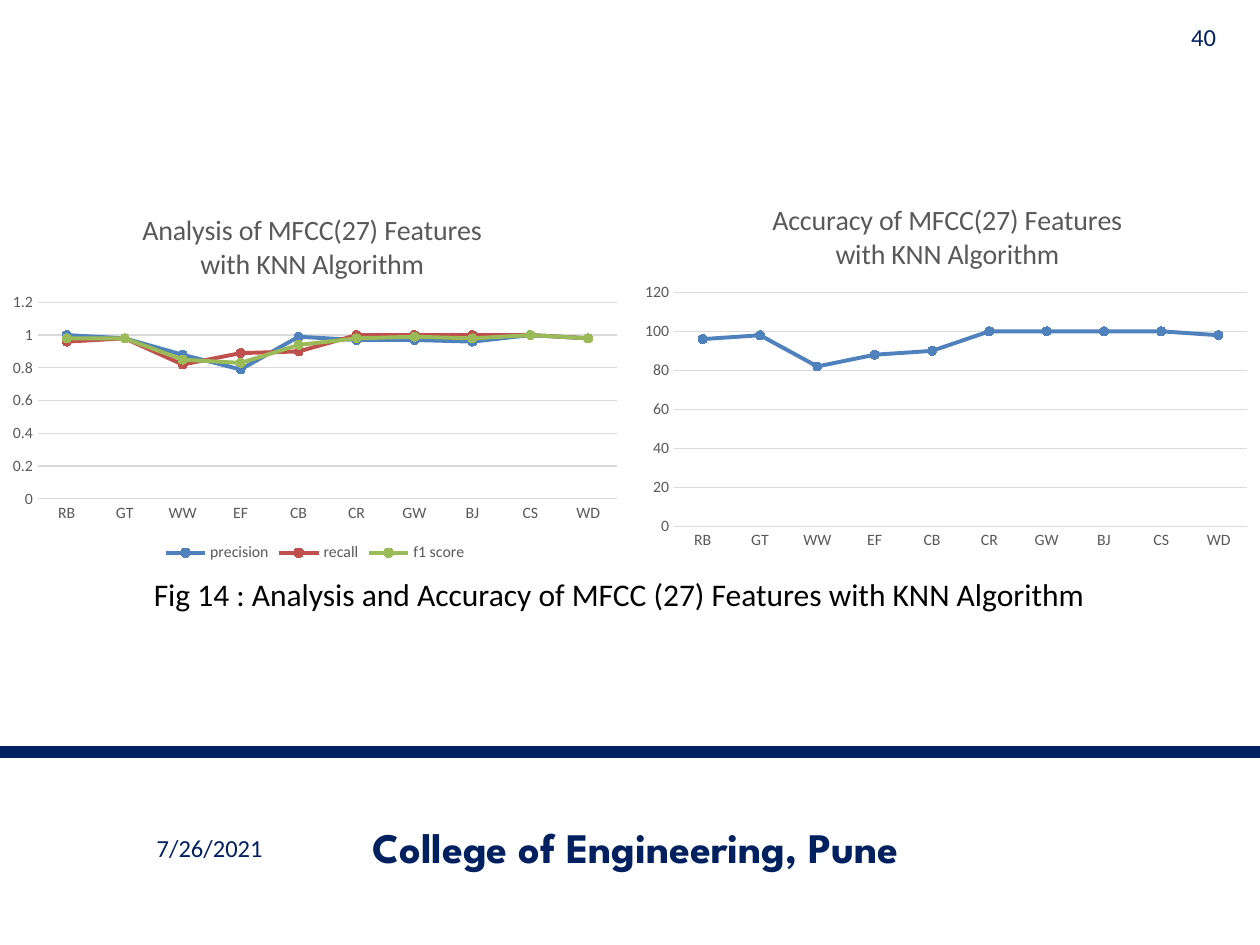
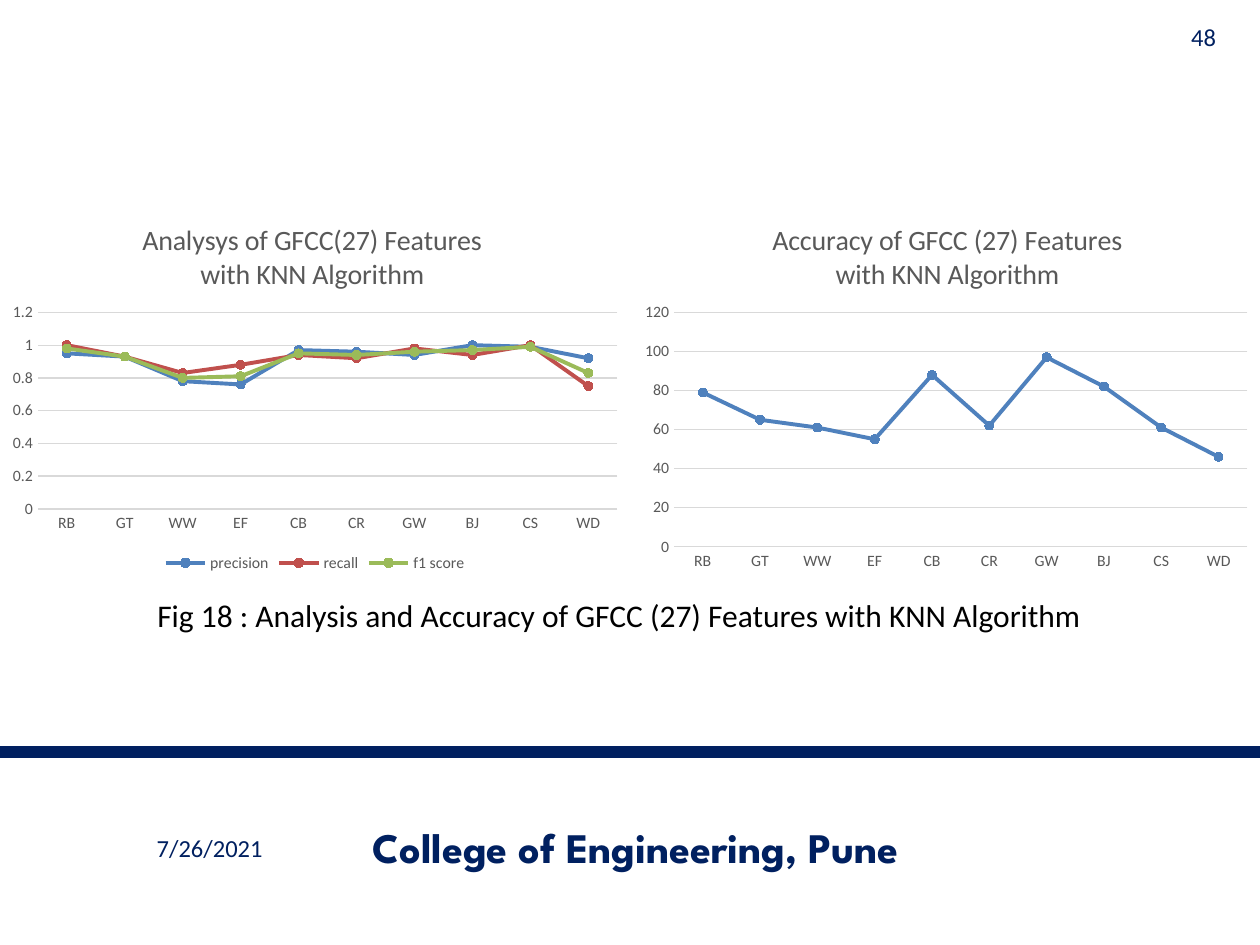
from dataclasses import dataclass

from lxml import etree
from pptx import Presentation
from pptx import util as u
from pptx.chart import data as cd
from pptx.dml.color import RGBColor
from pptx.enum import chart as ch
from pptx.enum import shapes, text
from pptx.oxml import ns


@dataclass(frozen=True)
class Theme:
    navy: str = "002060"
    black: str = "000000"
    gray: str = "595959"
    rule: str = "D9D9D9"
    lines: tuple = ("4F81BD", "C0504D", "9BBB59")
    body: str = "Calibri"
    brand: str = "League Spartan"
    tick: float = 9
    small: float = 14
    head: float = 16
    fig: float = 18
    big: float = 24
    band: float = 6.5
    thin: float = 0.75
    thick: float = 2.25


T = Theme()
COLS, ROWS = 40, 30
WIDE, HIGH = u.Inches(10), u.Inches(7.5)
CATS = ("RB", "GT", "WW", "EF", "CB", "CR", "GW", "BJ", "CS", "WD")
NAMES = ("precision", "recall", "f1 score")

FIGS = (
    dict(
        page="40",
        tops=(6, 5.68),
        foot=18.04,
        heads=("Analysis of MFCC(27) Features\nwith KNN Algorithm",
               "Accuracy of MFCC(27) Features\nwith KNN Algorithm"),
        fig="Fig 14 : Analysis and Accuracy of MFCC (27) Features with KNN Algorithm",
        rates=((1, 0.98, 0.88, 0.79, 0.99, 0.97, 0.97, 0.96, 1, 0.98),
               (0.96, 0.98, 0.82, 0.89, 0.9, 1, 1, 1, 1, 0.98),
               (0.98, 0.98, 0.85, 0.83, 0.94, 0.98, 0.99, 0.98, 1, 0.98)),
        score=(96, 98, 82, 88, 90, 100, 100, 100, 100, 98),
    ),
    dict(
        page="48",
        tops=(6.32, 6.32),
        foot=18.72,
        heads=("Analysys of GFCC(27) Features\nwith KNN Algorithm",
               "Accuracy of GFCC (27) Features\nwith KNN Algorithm"),
        fig="Fig 18 : Analysis and Accuracy of GFCC (27) Features with KNN Algorithm",
        rates=((0.95, 0.93, 0.78, 0.76, 0.97, 0.96, 0.94, 1, 0.99, 0.92),
               (1, 0.93, 0.83, 0.88, 0.94, 0.92, 0.98, 0.94, 1, 0.75),
               (0.98, 0.93, 0.8, 0.81, 0.95, 0.94, 0.96, 0.97, 0.99, 0.83)),
        score=(79, 65, 61, 55, 88, 62, 97, 82, 61, 46),
    ),
)


def grid(col, row, cols, rows):
    return (int(WIDE * col / COLS), int(HIGH * row / ROWS),
            int(WIDE * cols / COLS), int(HIGH * rows / ROWS))


def style(font, size, color, face=T.body, bold=False):
    font.size = u.Pt(size)
    font.name = face
    font.bold = bold
    font.color.rgb = RGBColor.from_string(color)


def write(frame, words, size=T.small, color=T.navy, face=T.body,
          bold=False, align=text.PP_ALIGN.CENTER):
    frame.text = words
    for par in frame.paragraphs:
        par.alignment = align
        for run in par.runs:
            style(run.font, size, color, face, bold)


def label(slide, area, words, **look):
    frame = slide.shapes.add_textbox(*area).text_frame
    frame.word_wrap = True
    frame.vertical_anchor = text.MSO_ANCHOR.MIDDLE
    write(frame, words, **look)


def stroke(line, color, width):
    line.color.rgb = RGBColor.from_string(color)
    line.width = u.Pt(width)


def band(slide):
    left, top, wide, _ = grid(0, 23.88, COLS, 0)
    bar = slide.shapes.add_connector(
        shapes.MSO_CONNECTOR.STRAIGHT, left, top, left + wide, top)
    stroke(bar.line, T.navy, T.band)
    etree.SubElement(bar.element.spPr, ns.qn("a:effectLst"))


def frame_page(slide, page):
    band(slide)
    label(slide, grid(2, 26.12, 9.32, 1.6), "7/26/2021")
    label(slide, grid(9.68, 26.08, 21, 1.6), "College of Engineering, Pune",
          size=T.big, face=T.brand, bold=True)
    label(slide, grid(37, 0.6, 2, 1.12), page, align=text.PP_ALIGN.RIGHT)


def caption(slide, row, words):
    title = slide.shapes.title
    title.left, title.top, title.width, title.height = grid(1, row, 37.32, 1.6)
    frame = title.text_frame
    frame.auto_size = text.MSO_AUTO_SIZE.NONE
    frame.vertical_anchor = text.MSO_ANCHOR.TOP
    write(frame, words, size=T.fig, color=T.black)


def pin(node, spot, target=None, **share):
    for old in node.findall(ns.qn("c:layout")):
        node.remove(old)
    outer = etree.Element(ns.qn("c:layout"))
    inner = etree.SubElement(outer, ns.qn("c:manualLayout"))
    items = {"layoutTarget": target} if target else {}
    items.update(xMode="edge", yMode="edge", **share)
    for tag, val in items.items():
        etree.SubElement(inner, ns.qn("c:" + tag)).set("val", str(val))
    node.insert(spot, outer)


def axes(chart, peak):
    for axis in (chart.category_axis, chart.value_axis):
        style(axis.tick_labels.font, T.tick, T.gray)
        axis.major_tick_mark = axis.minor_tick_mark = ch.XL_TICK_MARK.NONE
    stroke(chart.category_axis.format.line, T.rule, T.thin)
    vals = chart.value_axis
    vals.format.line.fill.background()
    vals.minimum_scale, vals.maximum_scale, vals.major_unit = 0, peak, peak / 6
    vals.has_major_gridlines = True
    stroke(vals.major_gridlines.format.line, T.rule, T.thin)


def paint(line, color):
    line.smooth = False
    stroke(line.format.line, color, T.thick)
    dot = line.marker
    dot.style = ch.XL_MARKER_STYLE.CIRCLE
    dot.size = 5
    dot.format.fill.solid()
    dot.format.fill.fore_color.rgb = RGBColor.from_string(color)
    stroke(dot.format.line, color, T.thin)


def plot(slide, area, head, rows, peak, room, legend=False):
    data = cd.CategoryChartData()
    data.categories = CATS
    for name, vals in rows:
        data.add_series(name, vals)
    chart = slide.shapes.add_chart(
        ch.XL_CHART_TYPE.LINE_MARKERS, *area, data).chart
    style(chart.font, 10, T.black)
    chart.has_title = True
    write(chart.chart_title.text_frame, head, size=T.head, color=T.gray)
    chart.chart_title.include_in_layout = False
    chart.has_legend = legend
    if legend:
        chart.legend.position = ch.XL_LEGEND_POSITION.BOTTOM
        chart.legend.include_in_layout = False
        style(chart.legend.font, T.tick, T.gray)
    chart.plots[0].vary_by_categories = False
    axes(chart, peak)
    for line, color in zip(chart.plots[0].series, T.lines):
        paint(line, color)
    root = chart.element.find(ns.qn("c:chart"))
    pin(root.find(ns.qn("c:title")), 1, x=0.22, y=0.05)
    pin(root.find(ns.qn("c:plotArea")), 0, "inner", **room)


def main():
    deck = Presentation()
    deck.slide_width, deck.slide_height = WIDE, HIGH
    half = COLS / 2
    for fig in FIGS:
        slide = deck.slides.add_slide(deck.slide_layouts[5])
        frame_page(slide, fig["page"])
        left, right = fig["tops"]
        plot(slide, grid(0, left, half, 12), fig["heads"][0],
             zip(NAMES, fig["rates"]), 1.2,
             dict(x=0.06, y=0.3, w=0.92, h=0.52), legend=True)
        plot(slide, grid(half, right, half, 12), fig["heads"][1],
             [("Series 1", fig["score"])], 120,
             dict(x=0.07, y=0.3, w=0.91, h=0.62))
        caption(slide, fig["foot"], fig["fig"])
    deck.save("out.pptx")


if __name__ == "__main__":
    main()
